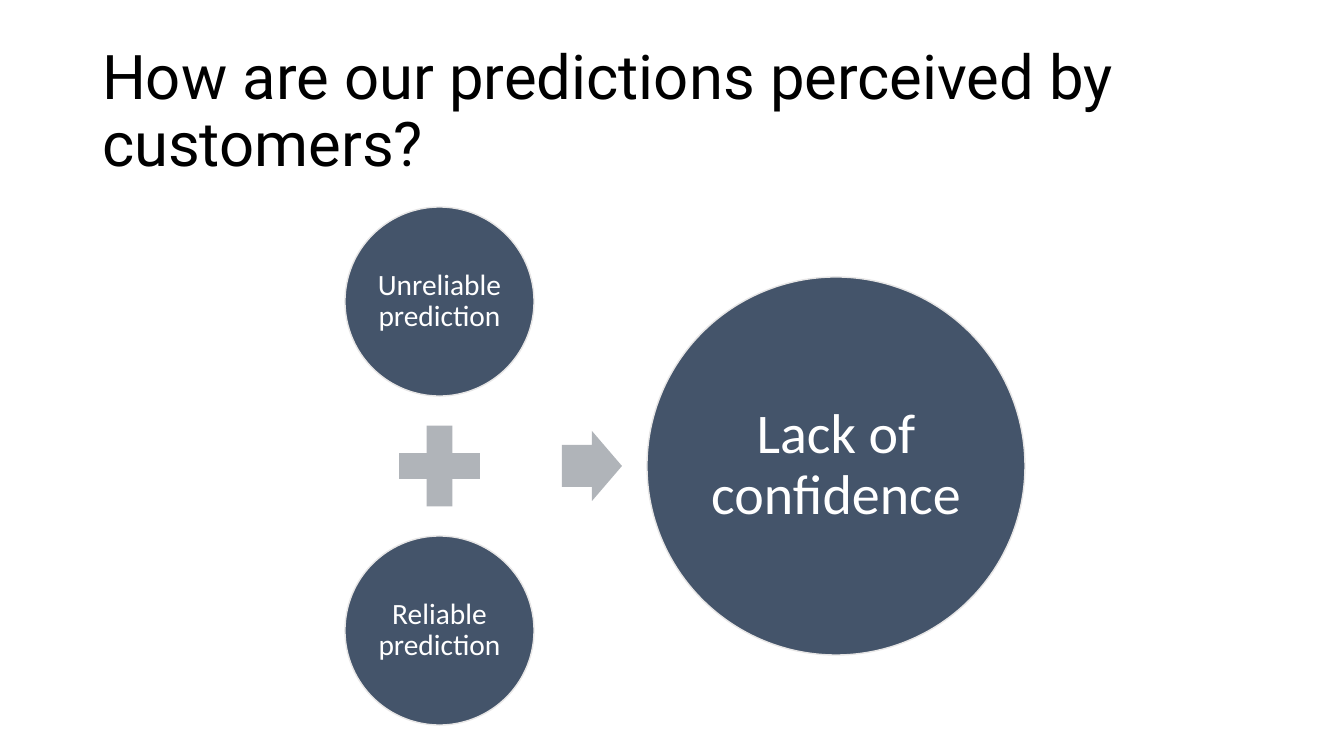
import dataclasses

import pptx
import pptx.dml.color
import pptx.enum.shapes
import pptx.enum.text
import pptx.util

Shape = pptx.enum.shapes.MSO_SHAPE
Align = pptx.enum.text.PP_ALIGN
SCALE = 914400 / 100.8


@dataclasses.dataclass(frozen=True)
class Theme:
    ink: str = "000000"
    navy: str = "44546A"
    rim: str = "E7E6E6"
    grey: str = "B0B4B9"
    white: str = "FFFFFF"
    head: str = "Roboto"
    body: str = "Calibri"
    title: int = 44
    large: int = 40
    small: int = 21


THEME = Theme()


def px(size):
    return pptx.util.Emu(round(size * SCALE))


def rgb(code):
    return pptx.dml.color.RGBColor.from_string(code)


def write(shape, text, size, color, font=THEME.body, align=Align.CENTER, inset=None):
    frame = shape.text_frame
    frame.word_wrap = True
    frame.auto_size = pptx.enum.text.MSO_AUTO_SIZE.NONE
    frame.vertical_anchor = pptx.enum.text.MSO_ANCHOR.MIDDLE
    if inset is not None:
        frame.margin_left = frame.margin_right = px(inset)
        frame.margin_top = frame.margin_bottom = px(inset)
    para = frame.paragraphs[0]
    para.alignment = align
    para.line_spacing = 0.9
    run = para.add_run()
    run.text = text
    run.font.size = pptx.util.Pt(size)
    run.font.name = font
    run.font.color.rgb = rgb(color)


def draw(shapes, kind, box, fill, rim=None):
    shape = shapes.add_shape(kind, *map(px, box))
    shape.shadow.inherit = False
    shape.fill.solid()
    shape.fill.fore_color.rgb = rgb(fill)
    if rim:
        shape.line.color.rgb = rgb(rim)
        shape.line.width = pptx.util.Pt(1)
    else:
        shape.line.fill.background()
    return shape


def circle(shapes, left, top, side, text, size, inset):
    disc = draw(shapes, Shape.OVAL, (left, top, side, side), THEME.navy, THEME.rim)
    write(disc, text, size, THEME.white, inset=inset)


def heading(slide, box, text):
    title = slide.shapes.title
    title.left, title.top, title.width, title.height = map(px, box)
    write(title, text, THEME.title, THEME.ink, THEME.head, Align.LEFT)


def equation(slide, box, terms, result):
    """Stack two terms around a plus, with an arrow to the result."""
    left, top, width, height = box
    shapes = slide.shapes.add_group_shape().shapes
    small, large, plus = 189, 378, 110
    middle = top + height / 2

    for text, y in zip(terms, (top, top + height - small)):
        circle(shapes, left, y, small, text, THEME.small, 3)
    draw(shapes, Shape.MATH_PLUS,
         (left + (small - plus) / 2, middle - plus / 2, plus, plus), THEME.grey)

    arrow = draw(shapes, Shape.RIGHT_ARROW,
                 (left + small + 28, middle - 35, 60, 70), THEME.grey)
    arrow.adjustments[0] = 0.6
    arrow.adjustments[1] = 0.5
    circle(shapes, left + width - large, middle - large / 2, large,
           result, THEME.large, 6)


def main():
    deck = pptx.Presentation()
    deck.slide_width, deck.slide_height = px(1344), px(756)
    slide = deck.slides.add_slide(deck.slide_layouts.get_by_name("Title Only"))
    heading(slide, (92, 40, 1159, 146),
            "How are our predictions perceived by customers?")
    equation(slide, (345, 207, 680, 518),
             ("Unreliable prediction", "Reliable prediction"), "Lack of confidence")
    deck.save("out.pptx")


if __name__ == "__main__":
    main()
